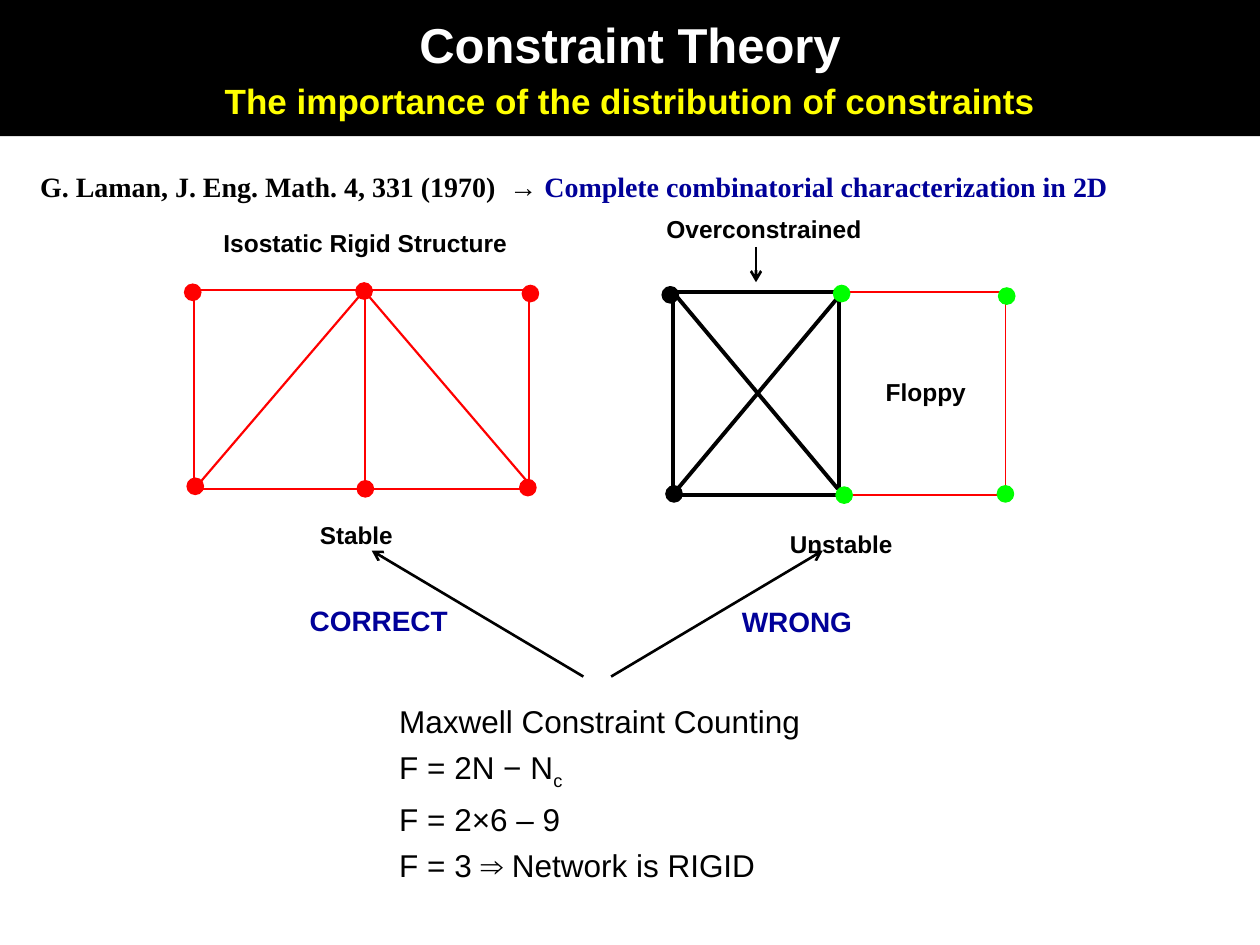
import pptx
import pptx.util
import pptx.dml.color
import pptx.enum.shapes
import pptx.enum.text
import pptx.oxml.ns
import lxml.etree

Inches = pptx.util.Inches
Pt = pptx.util.Pt
SHAPES = pptx.enum.shapes.MSO_SHAPE
ALIGN = pptx.enum.text.PP_ALIGN
AUTO_SIZE = pptx.enum.text.MSO_AUTO_SIZE
qn = pptx.oxml.ns.qn

COLORS = {"black": "000000", "white": "FFFFFF", "yellow": "FFFF00",
          "red": "FF0000", "green": "00FF00", "navy": "000099"}
LABEL = {"name": "Arial", "size": Pt(14), "bold": True}
STATE = {**LABEL, "size": Pt(24)}
VERDICT = {**LABEL, "size": Pt(16)}
HEADING = {**LABEL, "size": Pt(28)}
SUBHEADING = {**LABEL, "size": Pt(20)}
CITATION = {"name": "Times New Roman", "size": Pt(16), "bold": True}
COUNTING = {"name": "Arial", "size": Pt(18), "bold": False}
NODE_SIZE = 0.13


def rgb(color):
    return pptx.dml.color.RGBColor.from_string(COLORS[color])


def add_run(paragraph, words, formats, color="black", baseline=0):
    """Append a run; baseline is the raise or drop in percent."""
    run = paragraph.add_run()
    run.text = words
    for key, value in formats.items():
        setattr(run.font, key, value)
    run.font.color.rgb = rgb(color)
    if baseline:
        run.font._element.set("baseline", str(baseline * 1000))


def add_text_box(slide, left, top, width, height, wrap=True):
    frame = slide.shapes.add_textbox(
        Inches(left), Inches(top), Inches(width), Inches(height)).text_frame
    frame.word_wrap = wrap
    frame.auto_size = AUTO_SIZE.SHAPE_TO_FIT_TEXT
    return frame


def add_label(slide, box, words, formats=LABEL, color="black", baseline=0,
              align=ALIGN.LEFT):
    paragraph = add_text_box(slide, *box).paragraphs[0]
    paragraph.alignment = align
    add_run(paragraph, words, formats, color, baseline)


def add_outlined(slide, kind, box, color, weight, filled=False):
    shape = slide.shapes.add_shape(kind, *map(Inches, box))
    shape.shadow.inherit = False
    if filled:
        shape.fill.solid()
        shape.fill.fore_color.rgb = rgb(color)
    else:
        shape.fill.background()
    shape.line.color.rgb = rgb(color)
    shape.line.width = Pt(weight)


def add_bar(slide, start, end, color, weight, arrow=False):
    bar = slide.shapes.add_connector(
        pptx.enum.shapes.MSO_CONNECTOR.STRAIGHT, *map(Inches, start + end))
    bar.line.color.rgb = rgb(color)
    bar.line.width = Pt(weight)
    if arrow:
        lxml.etree.SubElement(bar.line._get_or_add_ln(), qn("a:tailEnd"), type="arrow")
    lxml.etree.SubElement(bar._element.spPr, qn("a:effectLst"))


def add_frame(slide, left, top, width, height, color, weight):
    add_outlined(slide, SHAPES.RECTANGLE, (left, top, width, height), color, weight)


def add_bars(slide, left, top, ends, color, weight):
    for x1, y1, x2, y2 in ends:
        add_bar(slide, (left + x1, top + y1), (left + x2, top + y2), color, weight)


def add_nodes(slide, left, top, centres, color):
    for x, y in centres:
        box = (left + x - NODE_SIZE / 2, top + y - NODE_SIZE / 2, NODE_SIZE, NODE_SIZE)
        add_outlined(slide, SHAPES.OVAL, box, color, 0.75, filled=True)


def build_banner(slide, left, top, width, height):
    banner = slide.shapes.title
    banner.left, banner.top = Inches(left), Inches(top)
    banner.width, banner.height = Inches(width), Inches(height)
    banner.fill.solid()
    banner.fill.fore_color.rgb = rgb("black")
    frame = banner.text_frame
    frame.auto_size = AUTO_SIZE.NONE
    frame.vertical_anchor = pptx.enum.text.MSO_ANCHOR.MIDDLE
    heading, subheading = frame.paragraphs[0], frame.add_paragraph()
    heading.alignment = subheading.alignment = ALIGN.CENTER
    subheading.space_before, subheading.space_after = Pt(3), Pt(6)
    add_run(heading, "Constraint Theory", HEADING, "white")
    add_run(subheading, "The importance of the distribution of constraints",
            SUBHEADING, "yellow")


def build_citation(slide, left, top, width, height):
    paragraph = add_text_box(slide, left, top, width, height).paragraphs[0]
    add_run(paragraph, "G. Laman, J. Eng. Math. 4, 331 (1970)  → ", CITATION)
    add_run(paragraph, "Complete combinatorial characterization in 2D", CITATION, "navy")


def build_stable_network(slide, left, top, width, height):
    middle = 1.36
    add_frame(slide, left, top, width, height, "red", 1.25)
    add_bars(slide, left, top, [(0.03, height - 0.03, middle - 0.03, 0.03),
                                (width, height - 0.04, middle, 0.02),
                                (middle, 0, middle, height)], "red", 1.25)
    add_nodes(slide, left, top, [(-0.01, 0.02), (0.01, 1.56), (middle, 1.58),
                                 (1.35, 0.01), (2.67, 0.03), (2.65, 1.57)], "red")
    add_label(slide, (left + 0.08, top - 0.54, 2.56, 0.33),
              "Isostatic Rigid Structure", align=ALIGN.CENTER)
    add_label(slide, (left + 0.9, top + 1.74, 1.07, 0.37), "Stable", STATE, baseline=30)


def build_unstable_network(slide, left, top, width, height):
    half = width / 2
    add_frame(slide, left, top, width, height, "red", 1)
    add_bars(slide, left, top, [(0.03, height - 0.04, half, 0.03),
                                (half - 0.01, height - 0.05, 0.02, 0.02)], "black", 2.25)
    add_nodes(slide, left, top, [(-0.02, 0.02), (0.01, 1.6)], "black")
    add_frame(slide, left, top, half, height, "black", 2.25)
    add_nodes(slide, left, top, [(2.65, 0.03), (2.64, 1.6),
                                 (1.36, 1.61), (1.34, 0.01)], "green")
    add_label(slide, (left - 0.15, top - 0.67, 1.76, 0.33), "Overconstrained")
    add_bar(slide, (left + half / 2, top - 0.36), (left + half / 2, top - 0.08),
            "black", 1.5, arrow=True)
    add_label(slide, (left + 1.59, top + 0.62, 0.92, 0.33), "Floppy")
    add_label(slide, (left + 0.83, top + 1.79, 1.19, 0.37), "Unstable", STATE, baseline=30)


def build_verdicts(slide, left, top, width, height):
    """Two arrows from the counting up to the networks, mirrored, with labels."""
    reach = 1.68
    right, bottom = left + width, top + height
    add_bar(slide, (left + reach, bottom), (left, top), "black", 1.5, arrow=True)
    add_bar(slide, (right - reach, bottom), (right, top), "black", 1.5, arrow=True)
    add_label(slide, (left - 0.59, top + 0.37, 1.49, 0.37), "CORRECT", VERDICT, "navy")
    add_label(slide, (left + 2.84, top + 0.38, 1.34, 0.37), "WRONG", VERDICT, "navy")


def build_counting(slide, left, top, width, height):
    frame = add_text_box(slide, left, top, width, height, wrap=False)
    lines = [("Maxwell Constraint Counting", ""), ("F = 2N − N", "c"),
             ("F = 2×6 – 9", ""), ("F = 3 ⇒ Network is RIGID", "")]
    for index, (words, subscript) in enumerate(lines):
        paragraph = frame.add_paragraph() if index else frame.paragraphs[0]
        if index:
            paragraph.space_before = Pt(5)
        add_run(paragraph, words, COUNTING)
        if subscript:
            add_run(paragraph, subscript, COUNTING, baseline=-25)


def main():
    presentation = pptx.Presentation()
    presentation.slide_width, presentation.slide_height = Inches(10), Inches(7.5)
    slide = presentation.slides.add_slide(presentation.slide_layouts[5])
    build_banner(slide, 0, 0, 10, 1.08)
    build_stable_network(slide, 1.54, 2.3, 2.66, 1.58)
    build_unstable_network(slide, 5.34, 2.32, 2.64, 1.61)
    build_verdicts(slide, 2.95, 4.37, 3.58, 1)
    build_counting(slide, 3.07, 5.52, 3.38, 1.53)
    build_citation(slide, 0.22, 1.3, 9.28, 0.37)
    presentation.save("out.pptx")


if __name__ == "__main__":
    main()
